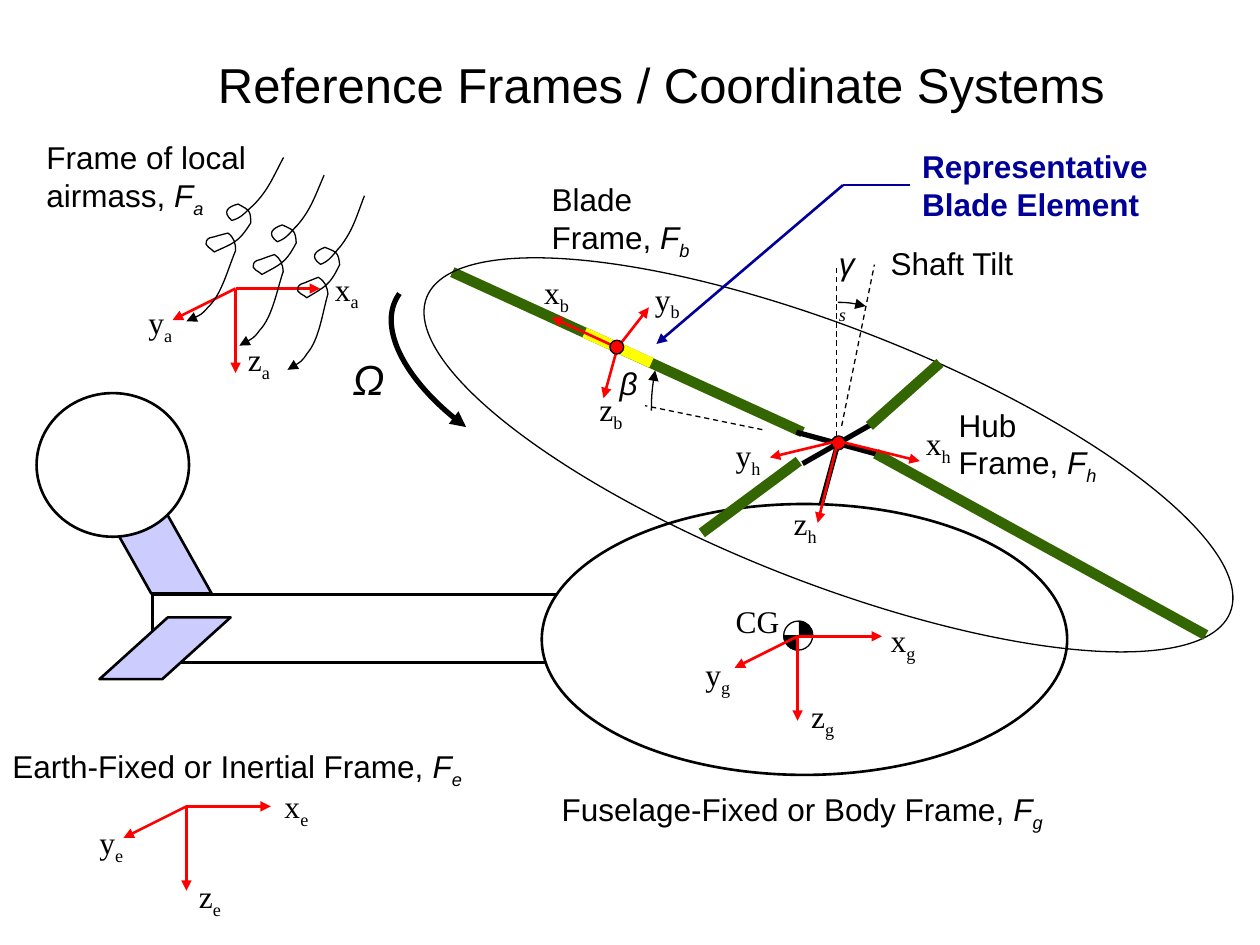
from copy import deepcopy
from math import cos, radians, sin
from pptx import Presentation
from pptx.dml.color import RGBColor
from pptx.enum.dml import MSO_LINE_DASH_STYLE as Dash
from pptx.enum.shapes import MSO_CONNECTOR as Connector, MSO_SHAPE as Shape
from pptx.enum.text import MSO_ANCHOR as Anchor, MSO_AUTO_SIZE as AutoSize, PP_ALIGN as Align
from pptx.oxml.ns import qn
from pptx.util import Inches, Pt
from lxml.etree import SubElement

BLACK, WHITE = RGBColor(0, 0, 0), RGBColor(255, 255, 255)
GREEN, YELLOW = RGBColor(0x33, 0x66, 0x00), RGBColor(0xFF, 0xFF, 0x00)
RED, NAVY = RGBColor(0xFF, 0, 0), RGBColor(0, 0, 0x99)
LILAC = RGBColor(0xCC, 0xCC, 0xFF)
SANS, SERIF = "Arial", "Times New Roman"

# Content: lines as (from, to)
REAR_BLADE = ((3.59, 2.16), (6.37, 3.43))
BLADE_ELEMENT = ((4.64, 2.64), (5.17, 2.88))
HUB_ARMS = [((6.32, 3.43), (6.98, 3.61)), ((6.65, 3.52), (6.44, 4.29)),
            ((6.37, 3.68), (6.93, 3.36))]
FRONT_BLADES = [((6.95, 3.6), (9.57, 5.04)), ((6.9, 3.38), (7.46, 2.88)),
                ((5.57, 4.23), (6.34, 3.66))]
ANGLE_GUIDES = [((6.64, 3.46), (6.64, 2.12)), ((6.68, 3.38), (6.94, 2.1)),
                ((6.05, 3.41), (5.12, 3.22))]

# Frames: subscript, origin, axis tips relative to it, label corners
EARTH_TIPS = [(0.67, 0), (-0.5, 0.25), (0, 0.67)]
FRAMES = [
    ("g", (6.33, 5.05), EARTH_TIPS, [(6.97, 4.88), (5.5, 5.15), (6.34, 5.48)]),
    ("h", (6.65, 3.5), [(0.65, 0.16), (-0.54, 0.13), (-0.16, 0.65)],
     [(7.25, 3.32), (5.74, 3.41), (6.2, 3.95)]),
    ("e", (1.48, 6.4), EARTH_TIPS, [(2.16, 6.2), (0.69, 6.48), (1.48, 6.91)]),
    ("b", (4.9, 2.76), [(-0.52, -0.24), (0.25, -0.32), (-0.11, 0.4)],
     [(4.22, 2.12), (5.1, 2.17), (4.66, 3.05)]),
    ("a", (1.87, 2.29), EARTH_TIPS, [(2.56, 2.09), (1.08, 2.36), (1.87, 2.65)]),
]

# Frame captions: text, subscript, place, wrap
CAPTIONS = [
    ("Earth-Fixed or Inertial Frame, ", "e", (0, 5.88, 3.78, 0.4), False),
    ("Fuselage-Fixed or Body Frame, ", "g", (4.36, 6.22, 4.03, 0.4), False),
    ("Hub Frame, ", "h", (7.51, 3.17, 1.51, 0.7), True),
    ("Blade Frame, ", "b", (4.28, 1.38, 1.36, 0.7), True),
    ("Frame of local airmass, ", "a", (0.27, 1.05, 2.49, 0.7), True),
]

# Curves: a start point, then three Bézier points per piece
# Sectors: curve, corner, turn, line width, arrowhead, fill
SECTORS = [
    ([(6.34, 4.93), (6.4, 4.93), (6.45, 4.98), (6.45, 5.04)], (6.34, 5.04), 0, 0.75, None, BLACK),
    ([(6.22, 5.04), (6.22, 5.1), (6.27, 5.16), (6.34, 5.16)], (6.34, 5.04), 90, 0.75, None, BLACK),
    ([(6.65, 2.4), (6.72, 2.4), (6.8, 2.41), (6.87, 2.43)], (6.65, 3.5), 0, 0.75, "tail", None),
    ([(3.7, 3.39), (3.23, 3.05), (2.99, 2.58), (3.17, 2.33)], (4.03, 2.95), 35.8, 3, "head", None),
    ([(5.17, 3.26), (5.17, 3.15), (5.18, 3.04), (5.2, 2.94)], (5.9, 3.26), 270, 0.75, "tail", None),
]
SWIRL = [(2.25, 1.25), (2.17, 1.4), (2.13, 1.51), (2.01, 1.63),
         (1.95, 1.68), (1.92, 1.73), (1.84, 1.75), (1.76, 1.68), (1.81, 1.64), (1.89, 1.62),
         (1.98, 1.67), (1.99, 1.67), (1.99, 1.77), (1.89, 1.93), (1.85, 1.93), (1.7, 2),
         (1.69, 1.98), (1.61, 1.95), (1.64, 1.91), (1.65, 1.89), (1.68, 1.88), (1.7, 1.88),
         (1.73, 1.87), (1.81, 1.85), (1.81, 1.85), (1.86, 1.89), (1.87, 1.93), (1.87, 1.99),
         (1.81, 2.13), (1.76, 2.34), (1.65, 2.44), (1.6, 2.5), (1.55, 2.52), (1.48, 2.55)]
SWIRL_TURN = 20.2
SWIRL_COPIES = [((0, 0), 20.2), ((0.37, 0.17), 16), ((0.72, 0.35), 13.4)]
SWIRL_CENTER = (1.82, 1.88)

deck = Presentation()
deck.slide_width, deck.slide_height = Inches(10), Inches(7.5)
page = deck.slides.add_slide(deck.slide_layouts[5])
shapes = page.shapes


def style_line(item, color, width, arrow=None, dash=False):
    item.line.color.rgb = color
    item.line.width = Pt(width)
    if dash:
        item.line.dash_style = Dash.DASH
    if arrow:
        SubElement(item.line._get_or_add_ln(), qn(f"a:{arrow}End"), type="triangle")


def line(start, end, color, width, **ends):
    item = shapes.add_connector(Connector.STRAIGHT, *map(Inches, (*start, *end)))
    style_line(item, color, width, **ends)
    SubElement(item._element.spPr, qn("a:effectLst"))
    return item


def paint(item, fill):
    item.shadow.inherit = False
    if fill is None:
        item.fill.background()
    else:
        item.fill.solid()
        item.fill.fore_color.rgb = fill


def outline(kind, place, fill, width=1.5):
    item = shapes.add_shape(kind, *map(Inches, place))
    paint(item, fill)
    style_line(item, BLACK, width)
    return item


def disk(place, fill):
    outline(Shape.OVAL, place, fill, 0.75)


def turned(points, center, angle):
    c, s = cos(radians(angle)), sin(radians(angle))
    moved = [(x - center[0], y - center[1]) for x, y in points]
    return [(center[0] + x * c - y * s, center[1] + x * s + y * c) for x, y in moved]


def curve(points, turn, width=0.75, arrow="tail", fill=None, corner=None):
    """A Bézier curve; with a corner, also the unstroked sector up to it."""
    level = turned(points + ([corner] if corner else []), points[0], -turn)
    spots = [(Inches(x), Inches(y)) for x, y in level]
    builder = shapes.build_freeform(*spots[0])
    builder.add_line_segments(spots[1:], close=corner is not None)
    item = builder.convert_to_shape()
    paint(item, fill)
    style_line(item, BLACK, width, arrow=arrow)

    # Join each three segments into one Bézier piece
    trace = item._element.spPr.find(".//" + qn("a:path"))
    steps = trace.findall(qn("a:lnTo"))
    for first in range(0, len(points) - 1, 3):
        piece = trace.makeelement(qn("a:cubicBezTo"))
        steps[first].addprevious(piece)
        for step in steps[first:first + 3]:
            piece.append(step[0])
            trace.remove(step)
    if corner:
        sector = deepcopy(trace)
        sector.set("stroke", "0")
        trace.addnext(sector)
        for part in trace[-2:]:
            trace.remove(part)
        trace.set("fill", "none")

    # Turn about the curve's start
    middle = (item.left + item.width / 2, item.top + item.height / 2)
    (x, y), = turned([middle], spots[0], turn)
    item.left, item.top = round(x - item.width / 2), round(y - item.height / 2)
    item.rotation = turn


def write(box, place, runs, wrap=False, size=18, color=BLACK):
    """Runs are (text, font, style letters: i italic, b bold, s subscript)."""
    box.left, box.top, box.width, box.height = map(Inches, place)
    frame = box.text_frame
    frame.word_wrap, frame.auto_size = wrap, AutoSize.SHAPE_TO_FIT_TEXT
    frame.vertical_anchor = Anchor.TOP
    para = frame.paragraphs[0]
    para.alignment = Align.LEFT
    for text, font, style in runs:
        span = para.add_run()
        span.text = text
        span.font.name, span.font.size = font, Pt(size)
        span.font.color.rgb = color
        span.font.italic, span.font.bold = "i" in style, "b" in style
        if "s" in style:
            span._r.get_or_add_rPr().set("baseline", "-25000")


def label(place, runs, **options):
    box = shapes.add_textbox(0, 0, 0, 0)
    write(box, place, runs, **options)
    return box


# Title
write(shapes.title, (1.63, 0.38, 7.26, 0.57),
      [("Reference Frames / Coordinate Systems", SANS, "")], size=28)

# Rear blade and hub
line(*REAR_BLADE, GREEN, 6)
line(*BLADE_ELEMENT, YELLOW, 6)
for arm in HUB_ARMS:
    line(*arm, BLACK, 3)

# Helicopter body
outline(Shape.RECTANGLE, (1.21, 4.72, 3.39, 0.54), None)
outline(Shape.PARALLELOGRAM, (0.79, 4.9, 1.04, 0.49), LILAC).adjustments[0] = 1.106
fin = outline(Shape.PARALLELOGRAM, (0.74, 3.89, 0.94, 0.82), LILAC)
fin.adjustments[0] = 0.562
fin._element.spPr.xfrm.set("flipH", "1")
outline(Shape.OVAL, (0.29, 3.12, 1.21, 1.14), WHITE)
outline(Shape.OVAL, (4.3, 4, 4.17, 2.15), WHITE)

# Rotor disc, front blades, angle guides
outline(Shape.OVAL, (3.15, 2.6, 6.85, 2.02), None, 0.75).rotation = 21.4
for blade in FRONT_BLADES:
    line(*blade, GREEN, 6)
for guide in ANGLE_GUIDES:
    line(*guide, BLACK, 0.75, dash=True)

# Centre of gravity, angle arcs and rotation arrow
disk((6.22, 4.93, 0.23, 0.23), WHITE)
for points, corner, turn, width, arrow, fill in SECTORS:
    curve(points, turn, width, arrow, fill, corner)
label((5.74, 4.73, 0.55, 0.4), [("CG", SERIF, "")])

# Axes with their labels
disk((6.6, 3.46, 0.11, 0.11), RED)
for subscript, (x, y), tips, corners in FRAMES:
    for axis, (dx, dy), spot in zip("xyz", tips, corners):
        line((x, y), (x + dx, y + dy), RED, 1.5, arrow="tail")
        label((*spot, 0.4, 0.4), [(axis, SERIF, ""), (subscript, SERIF, "s")])
disk((4.84, 2.7, 0.11, 0.11), RED)

# Captions and angle symbols
for text, subscript, place, wrap in CAPTIONS:
    label(place, [(text, SANS, ""), ("F", SANS, "i"), (subscript, SANS, "is")], wrap=wrap)
label((6.56, 1.89, 0.37, 0.4), [("γ", SANS, "i"), ("s", SERIF, "is")], wrap=True)
label((6.97, 1.89, 1.39, 0.4), [("Shaft Tilt", SANS, "")], wrap=True)
label((2.7, 2.76, 0.46, 0.5), [("Ω", SANS, "i")], size=24)
label((4.82, 2.84, 0.42, 0.4), [("β", SANS, "i")], wrap=True)

# Airmass swirls
for (dx, dy), turn in SWIRL_COPIES:
    points = turned(SWIRL, SWIRL_CENTER, turn - SWIRL_TURN)
    curve([(x + dx, y + dy) for x, y in points], turn)

# Blade element callout
callout = label((7.22, 1.12, 2.34, 0.7), [("Representative Blade Element", SANS, "b")],
                wrap=True, color=NAVY)
line((6.69, 1.47), (5.21, 2.73), NAVY, 1.5, arrow="tail")
line((6.69, 1.47), (7.22, 1.47), NAVY, 1.5).end_connect(callout, 1)

deck.save("out.pptx")
